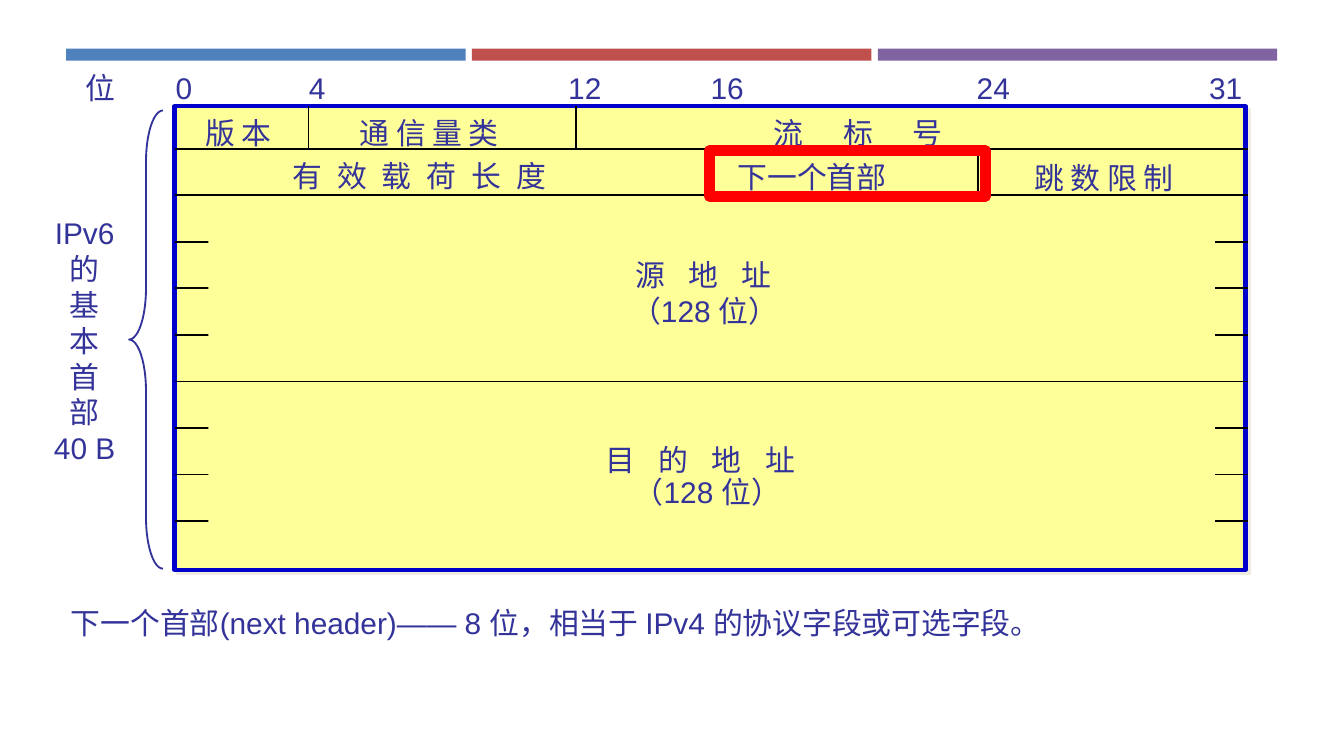
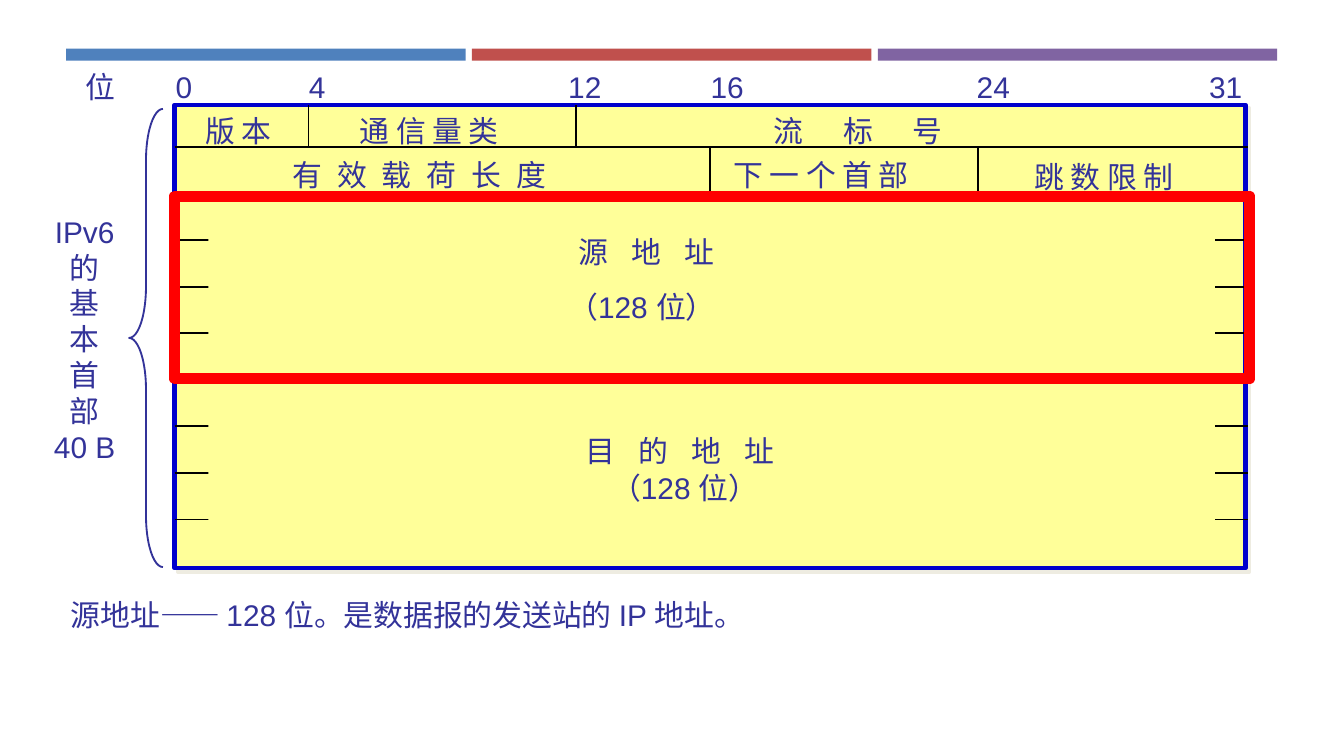
from lxml import etree
from pptx import Presentation
from pptx.dml.color import RGBColor
from pptx.enum.shapes import MSO_CONNECTOR, MSO_SHAPE
from pptx.enum.text import MSO_AUTO_SIZE, PP_ALIGN
from pptx.oxml.ns import qn
from pptx.util import Cm, Pt

STRAIGHT = MSO_CONNECTOR.STRAIGHT
RECTANGLE, LEFT_BRACE = MSO_SHAPE.RECTANGLE, MSO_SHAPE.LEFT_BRACE
FIT_SHAPE = MSO_AUTO_SIZE.SHAPE_TO_FIT_TEXT
LEFT, CENTER = PP_ALIGN.LEFT, PP_ALIGN.CENTER

COLORS = {
    "blue_bar": "4F81BD", "red_bar": "C0504D", "purple_bar": "8064A2",
    "field": "FFFF99", "frame": "0000CC", "shadow": "EEECE1",
    "text": "333399", "rule": "000000", "highlight": "FF0000",
}
FONT = "Arial"
SPACE_WIDTH = 4.45  # points, at 16 pt

# All lengths are in centimetres
FRAME_LEFT, FRAME_WIDTH, FRAME_HEIGHT = 3.3, 20.24, 8.76
BIT_WIDTH = FRAME_WIDTH / 32
FIRST_ROW, ROW_HEIGHT, ROW_COUNT = 0.8, 0.88, 10
LABEL_HEIGHT = 0.94

# Bit number and its offset from the left of the frame
BIT_LABELS = [("0", -0.23), ("4", 2.29), ("12", 7.19),
              ("16", 9.88), ("24", 14.91), ("31", 19.3)]
# Text, left, top, width, number of spaces that the gaps are wide
FIXED_FIELDS = [
    ("版 本", 0.33, 0.03, 1.8, 1),
    ("通 信 量 类", 3.25, 0.03, 3.28, 1),
    ("流 标 号", 11.07, 0.03, 3.81, 5),
    ("有 效 载 荷 长 度", 1.98, 0.85, 5.54, 2),
    ("跳 数 限 制", 16, 0.89, 3.28, 1),
]
SIDE_LINES = ["IPv6", "的", "基", "本", "首", "部", "40 B"]

SLIDES = [
    {
        "top": 2.01,
        "fields": [("下一个首部", 10.39, 0.86, 3.35, 1),
                   ("源 地 址", 8.46, 2.72, 3.18, 3),
                   ("目 的 地 址", 7.9, 6.22, 4.24, 3)],
        "sizes": [(8.38, 3.4), (8.43, 6.81)],
        "highlight": (10.11, 0.84, 5.21, 0.86),
        "caption": "下一个首部(next header)—— 8 位，相当于 IPv4 的协议字段或可选字段。",
        "caption_top": 11.28,
    },
    {
        "top": 1.98,
        "fields": [("下 一 个 首 部", 10.31, 0.86, 3.99, 1),
                   ("源 地 址", 7.39, 2.31, 3.18, 3),
                   ("目 的 地 址", 7.52, 6.07, 4.24, 3)],
        "sizes": [(7.19, 3.35), (8, 6.78)],
        "highlight": (0, 1.73, 20.32, 3.45),
        "caption": "源地址—— 128 位。是数据报的发送站的 IP 地址。",
        "caption_top": 11.13,
    },
]


def color(name):
    return RGBColor.from_string(COLORS[name])


def add_box(slide, left, top, width, height, fill=None, line=None,
            line_width=1, kind=RECTANGLE):
    shape = slide.shapes.add_shape(kind, Cm(left), Cm(top), Cm(width), Cm(height))
    shape.shadow.inherit = False
    if fill:
        shape.fill.solid()
        shape.fill.fore_color.rgb = color(fill)
    else:
        shape.fill.background()
    if line:
        shape.line.color.rgb = color(line)
        shape.line.width = Pt(line_width)
    else:
        shape.line.fill.background()
    return shape


def add_rule(slide, x1, y1, x2, y2):
    connector = slide.shapes.add_connector(STRAIGHT, Cm(x1), Cm(y1), Cm(x2), Cm(y2))
    connector.line.color.rgb = color("rule")
    connector.line.width = Pt(1)
    etree.SubElement(connector._element.spPr, qn("a:effectLst"))


def add_run(paragraph, text, spacing=0):
    run = paragraph.add_run()
    run.text = text
    run.font.name = FONT
    run.font.size = Pt(16)
    run.font.color.rgb = color("text")
    if spacing:
        run._r.get_or_add_rPr().set("spc", str(round(spacing * 100)))


def add_label(slide, lines, left, top, width, height=LABEL_HEIGHT, gap=1,
              wrap=False, align=LEFT, line_spacing=None):
    box = slide.shapes.add_textbox(Cm(left), Cm(top), Cm(width), Cm(height))
    frame = box.text_frame
    frame.word_wrap = wrap
    frame.auto_size = FIT_SHAPE
    for index, text in enumerate(lines):
        paragraph = frame.add_paragraph() if index else frame.paragraphs[0]
        paragraph.alignment = align
        if line_spacing:
            paragraph.line_spacing = line_spacing
        if gap > 1:
            # Spread the characters, but leave nothing after the last one
            add_run(paragraph, text[:-1], (gap - 1) * SPACE_WIDTH / 2)
            add_run(paragraph, text[-1])
        else:
            add_run(paragraph, text)


def add_frame_shadow(shape):
    effects = shape._element.spPr.find(qn("a:effectLst"))
    shadow = etree.SubElement(effects, qn("a:outerShdw"), dist=str(Pt(2.8)),
                              dir="2700000", algn="ctr", rotWithShape="0")
    etree.SubElement(shadow, qn("a:srgbClr"), val=COLORS["shadow"])


def draw_top_bars(slide, left, top):
    for index, name in enumerate(("blue_bar", "red_bar", "purple_bar")):
        add_box(slide, left + index * 7.67, top, 7.55, 0.23, fill=name)


def draw_grid(slide, left, top):
    frame = add_box(slide, left, top, FRAME_WIDTH, FRAME_HEIGHT,
                    "field", "frame", 2.25)
    add_frame_shadow(frame)
    # Row lines; the address areas cover all but their ends
    rows = [top + FIRST_ROW + index * ROW_HEIGHT for index in range(ROW_COUNT - 1)]
    for y in rows:
        add_rule(slide, left, y, left + FRAME_WIDTH + 0.05, y)
    for offset in (2.26, 5.79):
        add_box(slide, left + 0.64, top + offset, 19.02, 2.36, fill="field")
    # Field borders
    for bit, start, end in ((4, top, rows[0]), (12, top, rows[0]),
                            (16, rows[0], rows[1]), (24, rows[0], rows[1])):
        x = left + bit * BIT_WIDTH
        add_rule(slide, x, start, x, end)


def draw_field_labels(slide, left, top, fields, sizes):
    for text, x, y, width, gap in FIXED_FIELDS + fields:
        add_label(slide, [text], left + x, top + y, width, gap=gap)
    for x, y in sizes:
        add_label(slide, ["（128 位）"], left + x, top + y, 3.33, wrap=True)


def draw_scale_and_brace(slide, left, top):
    for text, x in [("位", -1.93)] + BIT_LABELS:
        width = 1.07 if text == "位" else 0.5 + 0.32 * len(text)
        add_label(slide, [text], left + x, top - 0.81, width)
    brace = add_box(slide, left - 0.86, top + 0.08, 0.64, 8.66,
                    line="text", kind=LEFT_BRACE)
    brace.adjustments[0] = 1.52
    add_label(slide, SIDE_LINES, left - 2.54, top + 1.93, 1.68, 5.72, align=CENTER)


def draw_header_slide(slide, content):
    left, top = FRAME_LEFT, content["top"]
    draw_top_bars(slide, 1.25, 0.92)
    draw_grid(slide, left, top)
    draw_field_labels(slide, left, top, content["fields"], content["sizes"])
    draw_scale_and_brace(slide, left, top)
    # Highlighted field and its explanation
    x, y, width, height = content["highlight"]
    add_box(slide, left + x, top + y, width, height, line="highlight", line_width=6)
    add_label(slide, [content["caption"]], 1.09, content["caption_top"], 24, 0.97,
              wrap=True, line_spacing=1.05)


def main():
    presentation = Presentation()
    presentation.slide_width, presentation.slide_height = Cm(25.4), Cm(14.29)
    for content in SLIDES:
        slide = presentation.slides.add_slide(presentation.slide_layouts[6])
        draw_header_slide(slide, content)
    presentation.save("out.pptx")


if __name__ == "__main__":
    main()
